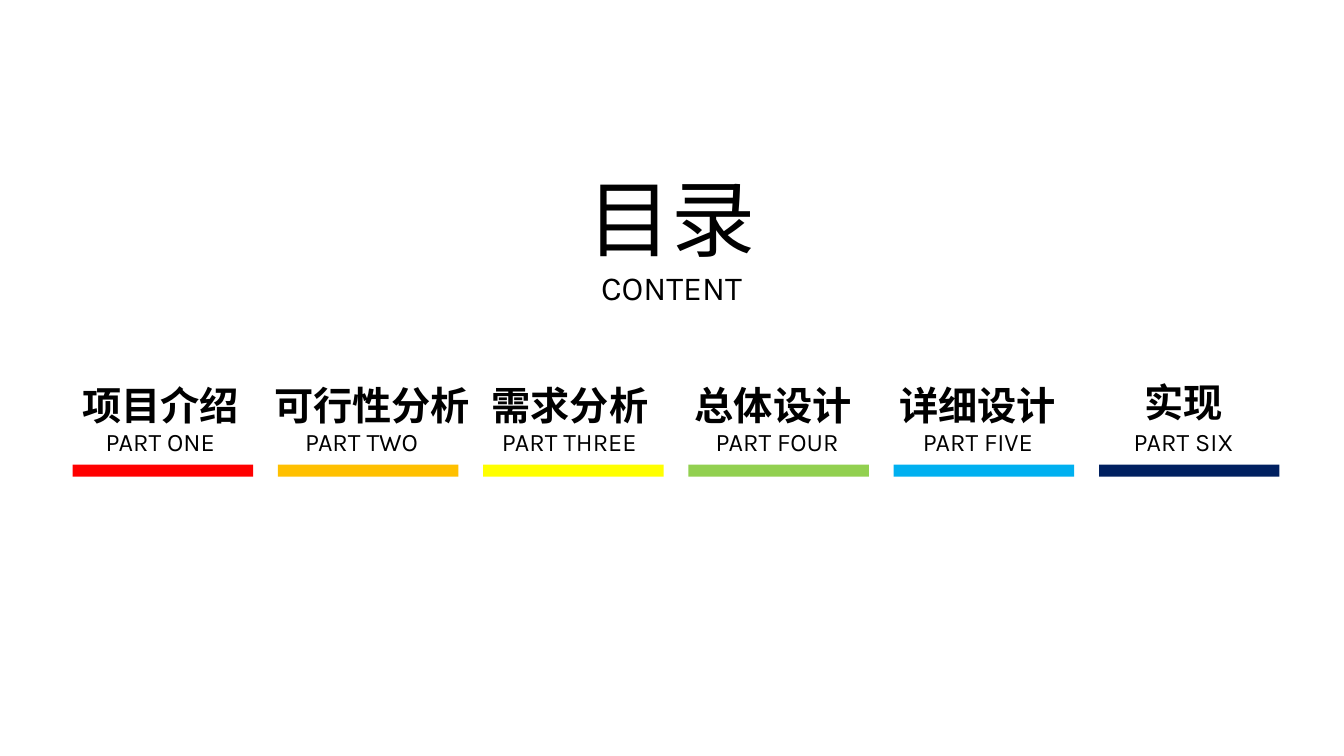
import pptx
import pptx.dml.color
import pptx.enum.shapes
import pptx.enum.text
import pptx.util

Inches = pptx.util.Inches
FONT = "Karla"
COLOURS = {
    "text": "000000",
    "red": "FF0000",
    "orange": "FFC000",
    "yellow": "FFFF00",
    "green": "92D050",
    "blue": "00B0F0",
    "navy": "002060",
}
SECTIONS = [
    ("项目介绍", (-0.24, -0.5, 2.22), "PART ONE", (0.07, 1.6), "red"),
    ("可行性分析", (-0.16, -0.5, 2.19), "PART TWO", (-0.04, 1.74), "orange"),
    ("需求分析", (-0.1, -0.5, 1.92), "PART THREE", (-0.08, 1.87), "yellow"),
    ("总体设计", (-0.12, -0.5, 1.92), "PART FOUR", (0.11, 1.54), "green"),
    ("详细设计", (-0.13, -0.5, 1.92), "PART FIVE", (0.17, 1.33), "blue"),
    ("实现", (-0.12, -0.53, 1.92), "PART SIX", (0.17, 1.34), "navy"),
]


def colour(name):
    return pptx.dml.color.RGBColor.from_string(COLOURS[name])


def add_label(page, left, top, width, height, lines, spacing=None, bold=False, wrap=True):
    box = page.shapes.add_textbox(Inches(left), Inches(top), Inches(width), Inches(height))
    frame = box.text_frame
    frame.word_wrap = wrap
    frame.auto_size = pptx.enum.text.MSO_AUTO_SIZE.SHAPE_TO_FIT_TEXT
    frame.text = "\n".join(text for text, size in lines)
    for para, (text, size) in zip(frame.paragraphs, lines):
        para.alignment = pptx.enum.text.PP_ALIGN.CENTER
        para.line_spacing = spacing
        para.font.name = FONT
        para.font.size = pptx.util.Pt(size)
        para.font.bold = bold
        para.font.color.rgb = colour("text")


def add_heading(page, left, top, width, height):
    add_label(page, left, top, width, height, [("目录", 60), ("CONTENT", 24)], wrap=False)


def add_section(page, left, top, width, section):
    title, (title_shift, title_rise, title_width), part, (part_shift, part_width), bar_colour = section
    add_label(page, left + title_shift, top + 0.5 + title_rise, title_width, 0.65,
              [(title, 28)], spacing=1.3, bold=True)
    add_label(page, left + part_shift, top + 0.5, part_width, 0.45, [(part, 18)], spacing=1.3)
    bar = page.shapes.add_shape(pptx.enum.shapes.MSO_SHAPE.RECTANGLE,
                                Inches(left), Inches(top + 1.02), Inches(width), Inches(0.12))
    bar.shadow.inherit = False
    bar.fill.solid()
    bar.fill.fore_color.rgb = colour(bar_colour)
    bar.line.fill.background()


def add_sections(page, left, top, width):
    bar_width = 1.79
    pitch = (width - bar_width) / (len(SECTIONS) - 1)
    for index, section in enumerate(SECTIONS):
        add_section(page, left + index * pitch, top, bar_width, section)


def main():
    deck = pptx.Presentation()
    deck.slide_width = Inches(13.33)
    deck.slide_height = Inches(7.5)
    page = deck.slides.add_slide(deck.slide_layouts[6])
    add_heading(page, 5.72, 1.6, 1.88, 1.51)
    add_sections(page, 0.72, 3.59, 11.97)
    deck.save("out.pptx")


if __name__ == "__main__":
    main()
